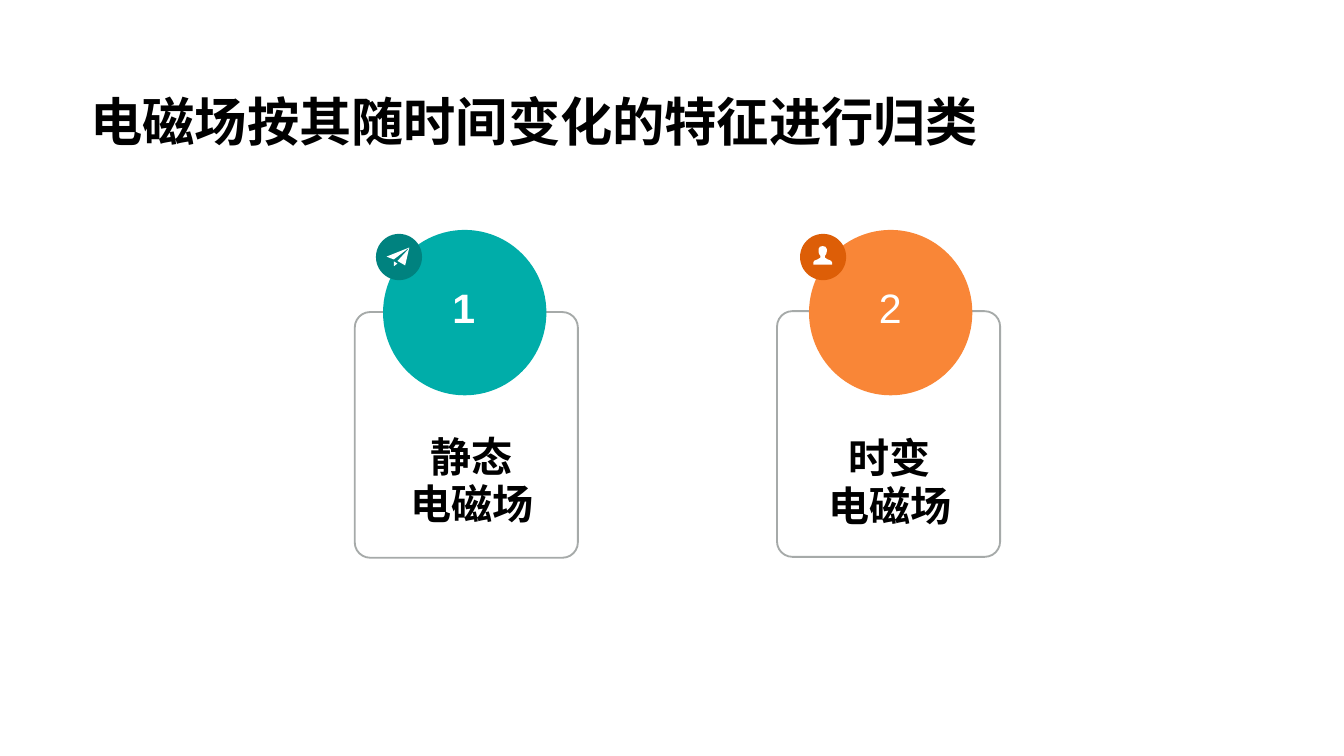
from lxml.etree import SubElement
from pptx import Presentation
from pptx.dml.color import RGBColor
from pptx.enum.shapes import MSO_SHAPE
from pptx.enum.text import MSO_ANCHOR, PP_ALIGN
from pptx.oxml.ns import qn
from pptx.util import Pt

# Content
CJK = "Noto Sans CJK JP"
TITLE = "电磁场按其随时间变化的特征进行归类"

# Icon outlines, in points from the icon's top left corner
PLANE = [
    [(0, 4.9), (12.2, 0), (11.2, 0.8), (3.9, 6.4)],
    [(12.2, 0), (10, 9.6), (5.9, 7.2), (11.6, 1)],
    [(3.9, 7.4), (5.9, 8.6), (4, 10)],
]
PERSON_HALF = [(0, 0), (1.5, 0.4), (2.2, 1.6), (2.2, 3), (1.9, 4.3), (1.2, 5.3),
               (1.2, 6.2), (2.6, 7.1), (4.5, 7.9), (5, 8.8), (5, 10)]
PERSON = [[(5 + x, y) for x, y in PERSON_HALF]
          + [(5 - x, y) for x, y in reversed(PERSON_HALF)]]

CARDS = [
    dict(number="1", bold=True, label=["静态", "电磁场"], color="00ADA9", dark="00827F",
         left=190.1, top=167.2, circle=205.2, badge=201.4, icon=PLANE, icon_at=(207.1, 132.6),
         number_box=(214.6, 146.9, 67.7, 35.3), label_box=(205.9, 228.2, 93.6, 59.8)),
    dict(number="2", bold=False, label=["时变", "电磁场"], color="F98637", dark="DD5E07",
         left=416.3, top=166.7, circle=433.4, badge=428.6, icon=PERSON, icon_at=(435.7, 131.8),
         number_box=(449.3, 154.8, 55.4, 19.4), label_box=(421.2, 229, 110.9, 59.8)),
]


def rgb(value):
    return RGBColor.from_string(value)


def paint(shape, fill=None, line=None):
    shape.shadow.inherit = False
    if fill:
        shape.fill.solid()
        shape.fill.fore_color.rgb = rgb(fill)
    else:
        shape.fill.background()
    if line:
        shape.line.color.rgb = rgb(line)
        shape.line.width = Pt(1)
    else:
        shape.line.fill.background()


def add_text(parent, lines, box, size=22, font=CJK, color="000000", bold=True, spacing=1.0):
    shape = parent.shapes.add_textbox(*map(Pt, box))
    frame = shape.text_frame
    frame.word_wrap = True
    frame.vertical_anchor = MSO_ANCHOR.MIDDLE
    frame.margin_left = frame.margin_right = Pt(5)
    frame.margin_top = frame.margin_bottom = Pt(2.5)
    for index, line in enumerate(lines):
        paragraph = frame.paragraphs[0] if index == 0 else frame.add_paragraph()
        paragraph.alignment = PP_ALIGN.CENTER
        paragraph.line_spacing = spacing
        run = paragraph.add_run()
        run.text = line
        run.font.size, run.font.bold, run.font.name = Pt(size), bold, font
        run.font.color.rgb = rgb(color)
        # East Asian characters take their own font element
        SubElement(run.font._element, qn("a:ea")).set("typeface", font)


def add_icon(parent, outlines, left, top):
    contours = [[(Pt(left + x), Pt(top + y)) for x, y in outline] for outline in outlines]
    builder = parent.shapes.build_freeform(*contours[0][0])
    for index, contour in enumerate(contours):
        if index:
            builder.move_to(*contour[0])
        builder.add_line_segments(contour[1:], close=True)
    paint(builder.convert_to_shape(), fill="FFFFFF")


def add_card(slide, card):
    group = slide.shapes.add_group_shape()
    # Frame
    frame = group.shapes.add_shape(MSO_SHAPE.ROUNDED_RECTANGLE, Pt(card["left"]),
                                   Pt(card["top"]), Pt(119.5), Pt(131.6))
    frame.adjustments[0] = 0.069
    paint(frame, line="A6AAA9")
    # Number circle and icon badge
    for left, top, width, height, color in [
        (card["circle"], 123.2, 87.5, 88.6, card["color"]),
        (card["badge"], 125.3, 24.7, 24.8, card["dark"]),
    ]:
        circle = group.shapes.add_shape(MSO_SHAPE.OVAL, Pt(left), Pt(top), Pt(width), Pt(height))
        paint(circle, fill=color)
    add_icon(group, card["icon"], *card["icon_at"])
    # Number and label
    add_text(group, [card["number"]], card["number_box"], font="Arial",
             color="FFFFFF", bold=card["bold"])
    add_text(group, card["label"], card["label_box"], spacing=0.97)


presentation = Presentation()
presentation.slide_width, presentation.slide_height = Pt(720), Pt(405)
slide = presentation.slides.add_slide(presentation.slide_layouts[6])
add_text(slide, [TITLE], (36.7, 43.9, 499, 34.6), size=28, spacing=1.2)
for card in CARDS:
    add_card(slide, card)
presentation.save("out.pptx")
